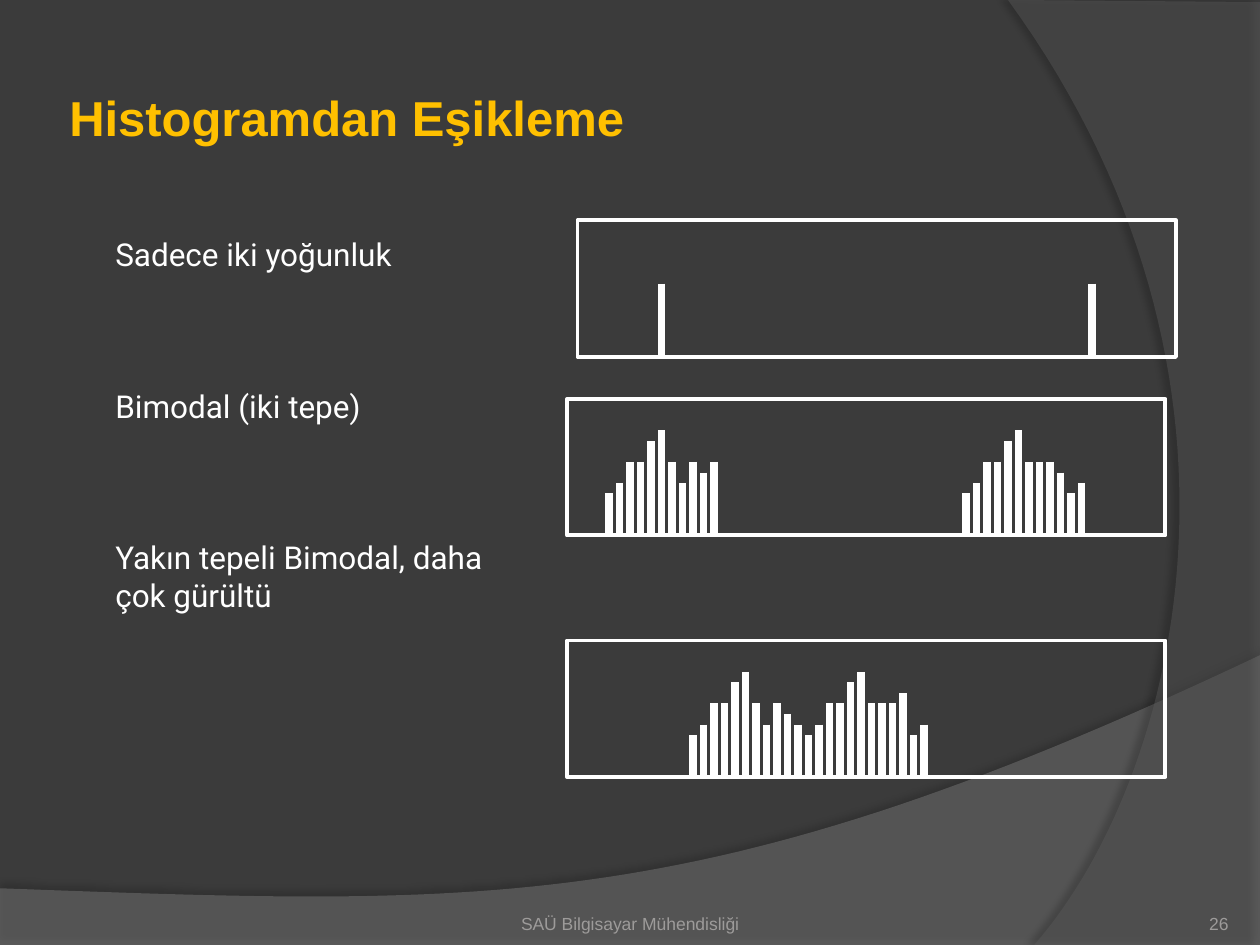
from dataclasses import dataclass

from lxml.etree import SubElement
from pptx import Presentation
from pptx.dml.color import RGBColor
from pptx.enum.shapes import MSO_CONNECTOR, MSO_SHAPE
from pptx.enum.text import MSO_ANCHOR as Anchor, PP_ALIGN as Align
from pptx.oxml.ns import qn
from pptx.shapes.autoshape import Shape
from pptx.slide import Slide
from pptx.util import Emu, Pt

PX = 7620  # EMU in one px, 120 px to the inch
BAR_STEP = 10
PANEL_WIDTH, PANEL_HEIGHT = 570, 130
CURVE_STEPS = 60

BACKGROUND = RGBColor(0x3B, 0x3B, 0x3B)
WAVE_GREY = RGBColor(0x7F, 0x7F, 0x7F)
ARC_GREY = RGBColor(0x5E, 0x5E, 0x5E)
WHITE = RGBColor(0xFF, 0xFF, 0xFF)
GOLD = RGBColor(0xFF, 0xC0, 0x00)
FOOTER_GREY = RGBColor(0x9D, 0x9B, 0x9A)

Point = tuple[int, int]


@dataclass(frozen=True)
class Sweep:
    """Background area: straight corners, then a cubic curve from the last corner."""
    corners: list[Point]
    curve: tuple[Point, Point, Point]
    color: RGBColor
    opacity: int
    shadow_opacity: int
    shadow_distance: float
    shadow_angle: int


@dataclass(frozen=True)
class Cluster:
    """Neighbouring bars, with heights counted in bar steps."""
    left: int
    heights: list[int]


@dataclass(frozen=True)
class Histogram:
    left: int
    top: int
    clusters: list[Cluster]


@dataclass(frozen=True)
class Label:
    box: tuple[int, int, int, int]
    paragraphs: list[str]
    font: dict
    color: RGBColor
    frame: dict
    paragraph: dict


SWEEPS = [
    Sweep([(0, 846), (0, 901), (1200, 901), (1200, 624)],
          ((671, 875), (469, 863), (0, 846)), WAVE_GREY, 45, 35, 3.5, 270),
    Sweep([(1200, 2), (1200, 900), (985, 900)],
          ((1122, 743), (1222, 360), (960, 0)), ARC_GREY, 40, 45, 4, 180),
]

HISTOGRAMS = [
    Histogram(550, 210, [Cluster(630, [7]), Cluster(1040, [7])]),
    Histogram(540, 380, [
        Cluster(580, [4, 5, 7, 7, 9, 10, 7, 5, 7, 6, 7]),
        Cluster(920, [4, 5, 7, 7, 9, 10, 7, 7, 7, 6, 4, 5]),
    ]),
    Histogram(540, 610, [
        Cluster(660, [4, 5, 7, 7, 9, 10, 7, 5, 7, 6, 5, 4,
                      5, 7, 7, 9, 10, 7, 7, 7, 8, 4, 5]),
    ]),
]


def margins(left: int, top: int, right: int, bottom: int) -> dict:
    sides = {"left": left, "top": top, "right": right, "bottom": bottom}
    return {f"margin_{side}": Emu(size * PX) for side, size in sides.items()}


FOOTER_FONT = {"name": "Arial", "size": Pt(10)}
BOTTOM = {"vertical_anchor": Anchor.BOTTOM}
LABELS = [
    Label((60, 36, 980, 150), ["Histogramdan Eşikleme"],
          {"name": "Arial", "size": Pt(28), "bold": True}, GOLD,
          {"vertical_anchor": Anchor.MIDDLE, **margins(6, 6, 6, 6)}, {}),
    Label((98, 218, 402, 376),
          ["Sadece iki yoğunluk", "Bimodal (iki tepe)",
           "Yakın tepeli Bimodal, daha çok gürültü"],
          {"name": "Roboto", "size": Pt(18)}, WHITE, {}, {"space_after": Pt(65)}),
    Label((1070, 842, 100, 48), ["26"], FOOTER_FONT, FOOTER_GREY,
          {**BOTTOM, **margins(0, 0, 0, 0)}, {"alignment": Align.RIGHT}),
    Label((410, 842, 380, 48), ["SAÜ Bilgisayar Mühendisliği"], FOOTER_FONT,
          FOOTER_GREY, {**BOTTOM, **margins(0, 6, 0, 0)},
          {"alignment": Align.CENTER}),
]


def apply_format(target: object, values: dict) -> None:
    for name, value in values.items():
        setattr(target, name, value)


def curve_points(start: Point, sweep: Sweep) -> list[Point]:
    """Return points in EMU along the cubic curve."""
    controls = (start, *sweep.curve)
    points = []
    for step in range(1, CURVE_STEPS + 1):
        t = step / CURVE_STEPS
        weights = ((1 - t) ** 3, 3 * t * (1 - t) ** 2, 3 * t * t * (1 - t), t ** 3)
        points.append(tuple(
            round(PX * sum(w * point[axis] for w, point in zip(weights, controls)))
            for axis in (0, 1)))
    return points


def add_shadow(shape: Shape, sweep: Sweep) -> None:
    shape.shadow.inherit = False
    effects = shape._element.spPr.find(qn("a:effectLst"))
    shadow = SubElement(effects, qn("a:outerShdw"), {
        "blurRad": str(Pt(4)), "dist": str(Pt(sweep.shadow_distance)),
        "dir": str(sweep.shadow_angle * 60000), "rotWithShape": "0"})
    color = SubElement(shadow, qn("a:srgbClr"), val="000000")
    SubElement(color, qn("a:alpha"), val=str(sweep.shadow_opacity * 1000))


def draw_sweep(slide: Slide, sweep: Sweep) -> None:
    corners = [(x * PX, y * PX) for x, y in sweep.corners]
    builder = slide.shapes.build_freeform(*corners[0])
    builder.add_line_segments(corners[1:] + curve_points(sweep.corners[-1], sweep))
    shape = builder.convert_to_shape()
    shape.fill.solid()
    shape.fill.fore_color.rgb = sweep.color
    shape.line.fill.background()
    color = shape._element.spPr.find(f"{qn('a:solidFill')}/{qn('a:srgbClr')}")
    SubElement(color, qn("a:alpha"), val=str(sweep.opacity * 1000))
    add_shadow(shape, sweep)


def draw_bar(slide: Slide, x: int, top: int, base: int) -> None:
    bar = slide.shapes.add_connector(
        MSO_CONNECTOR.STRAIGHT, *(Emu(length * PX) for length in (x, top, x, base)))
    bar.line.color.rgb = WHITE
    bar.line.width = Pt(4.5)
    SubElement(bar._element.spPr, qn("a:effectLst"))


def draw_histogram(slide: Slide, histogram: Histogram) -> None:
    box = (histogram.left, histogram.top, PANEL_WIDTH, PANEL_HEIGHT)
    panel = slide.shapes.add_shape(
        MSO_SHAPE.RECTANGLE, *(Emu(length * PX) for length in box))
    panel.shadow.inherit = False
    panel.fill.background()
    panel.line.color.rgb = WHITE
    panel.line.width = Pt(2.25)
    base = histogram.top + PANEL_HEIGHT
    for cluster in histogram.clusters:
        for index, height in enumerate(cluster.heights):
            draw_bar(slide, cluster.left + index * BAR_STEP,
                     base - height * BAR_STEP, base)


def draw_label(slide: Slide, label: Label) -> None:
    frame = slide.shapes.add_textbox(
        *(Emu(length * PX) for length in label.box)).text_frame
    apply_format(frame, {"word_wrap": True, **label.frame})
    frame.text = "\n".join(label.paragraphs)
    for paragraph in frame.paragraphs:
        apply_format(paragraph, label.paragraph)
        font = paragraph.runs[0].font
        apply_format(font, label.font)
        font.color.rgb = label.color


def main() -> None:
    presentation = Presentation()
    presentation.slide_width = Emu(1200 * PX)
    presentation.slide_height = Emu(900 * PX)
    slide = presentation.slides.add_slide(presentation.slide_layouts[6])
    slide.background.fill.solid()
    slide.background.fill.fore_color.rgb = BACKGROUND
    for sweep in SWEEPS:
        draw_sweep(slide, sweep)
    for histogram in HISTOGRAMS:
        draw_histogram(slide, histogram)
    for label in LABELS:
        draw_label(slide, label)
    presentation.save("out.pptx")


if __name__ == "__main__":
    main()
